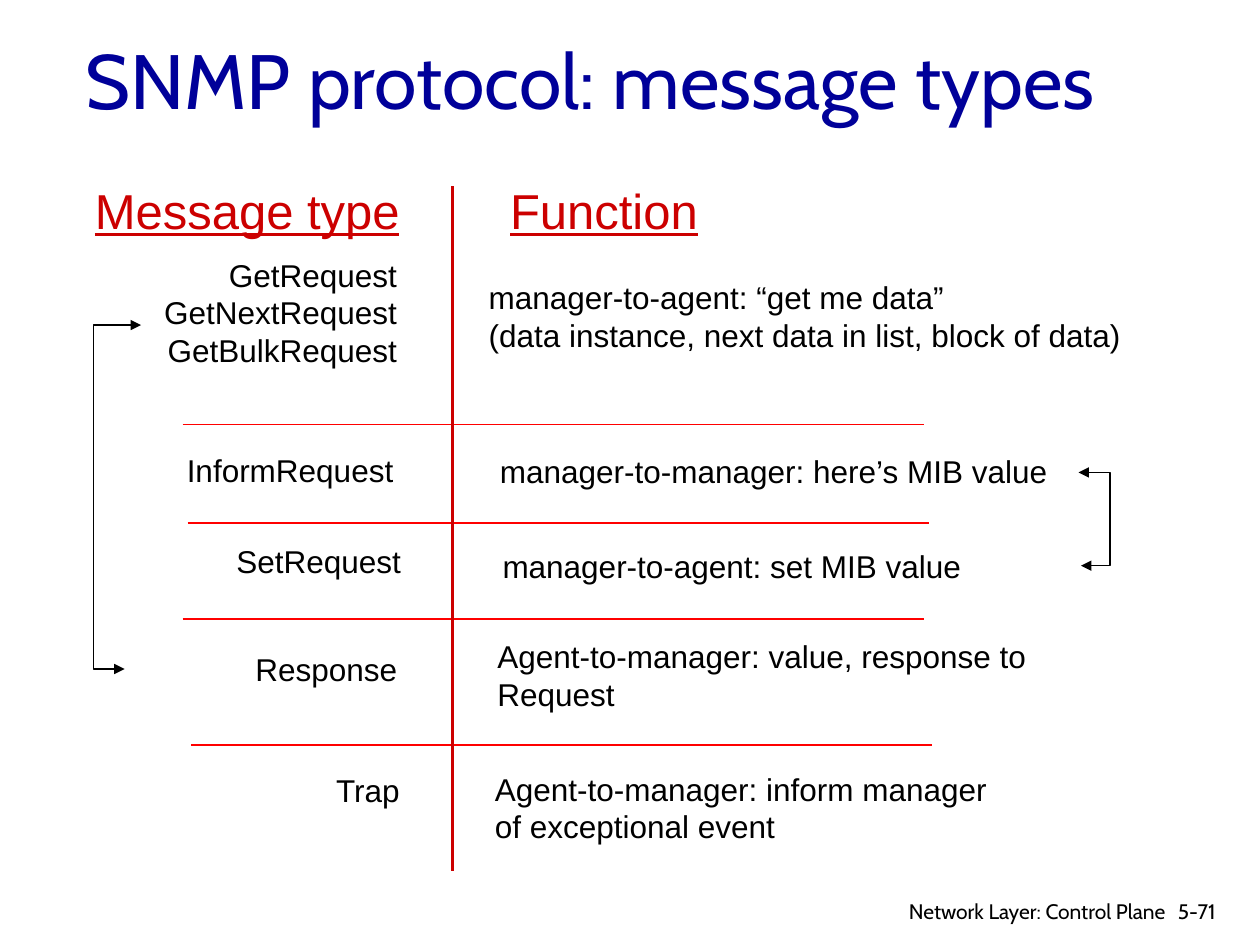
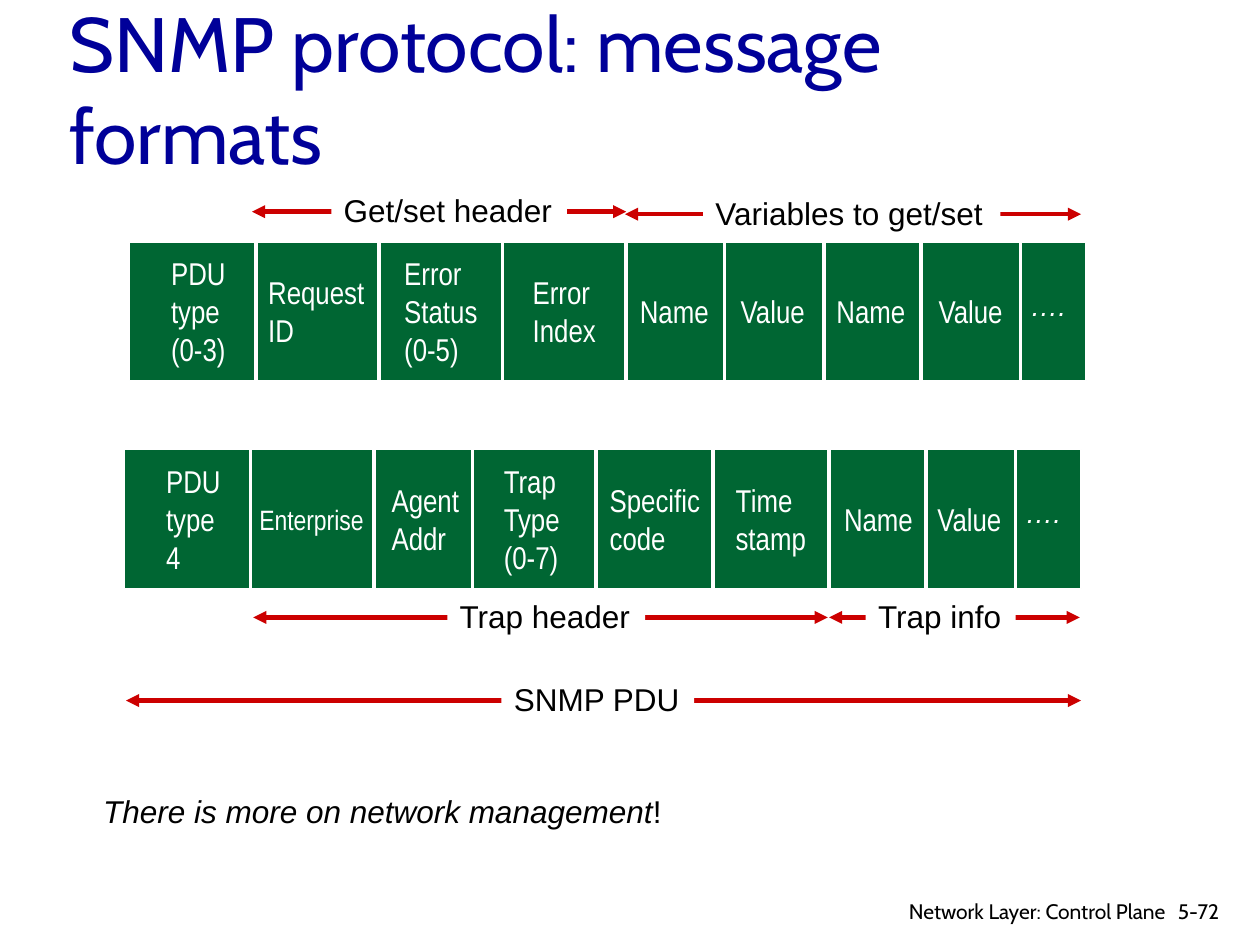
"""Builds two slides on SNMP message types and message formats."""
from lxml.etree import SubElement
from pptx import Presentation
from pptx.dml.color import RGBColor
from pptx.enum.shapes import MSO_CONNECTOR as Connector, MSO_SHAPE as Shape
from pptx.enum.text import MSO_ANCHOR as Anchor, MSO_AUTO_SIZE as AutoSize, PP_ALIGN as Align
from pptx.oxml.ns import qn
from pptx.util import Inches, Pt

COLUMNS, ROWS = 100, 75
WIDTH, HEIGHT = Inches(10), Inches(7.5)
NAVY, RED, BRIGHT_RED, GREEN = "000099", "CC0000", "FF0000", "006633"
BLACK, WHITE = "000000", "FFFFFF"
BODY_FONT, FIELD_FONT, TITLE_FONT = "Arial", "Arial Narrow", "Cabin"
DIVIDER_HEIGHT, BAR_WIDTH, BAR_HEIGHT = 11.2, 75.9, 11

MESSAGE_ROWS = [
    ((4, 35.3, 28.2, "InformRequest"), (38.7, 35.4, 47, "manager-to-manager: here’s MIB value")),
    ((4.6, 42.5, 28.2, "SetRequest"), (38.9, 42.9, 46.7, "manager-to-agent: set MIB value")),
    ((4.3, 51.1, 28.2, "Response"),
     (38.5, 50.1, 46.3, "Agent-to-manager: value, response to\nRequest")),
    ((4.5, 60.7, 28.2, "Trap"),
     (38.3, 60.6, 52.4, "Agent-to-manager: inform manager\nof exceptional event")),
]
ROW_RULES = [(14.5, 33.7), (14.9, 41.5), (14.5, 49.1), (15.2, 59.1)]

GET_SET_FIELDS = [
    (10.3, 12.6, "PDU\ntype\n(0-3)"), (20.3, 20.3, "Request\nID"),
    (30.1, 31.1, "Error\nStatus\n(0-5)"), (39.9, 41.3, "Error\nIndex"),
    (49.7, 49.8, "Name"), (57.5, 57.8, "Value"), (65.4, 65.4, "Name"),
    (73.1, 73.5, "Value"), (81, 80.8, "…."),
]
TRAP_FIELDS = [
    (9.9, 12.2, "PDU\ntype\n4"), (19.9, 19.6, "Enterprise"), (29.7, 30.1, "Agent\nAddr"),
    (37.5, 39, "Trap\nType\n(0-7)"), (47.3, 47.4, "Specific\ncode"), (56.6, 57.4, "Time\nstamp"),
    (65.8, 66, "Name"), (73.5, 73.4, "Value"), (80.6, 80.4, "…."),
]
SPANS = [
    (20, 49.7, 16.8, 26.3, 18.7, "Get/set header"),
    (49.6, 85.8, 17, 55.8, 23.6, "Variables to get/set"),
    (20.1, 65.7, 49, 35.5, 15.7, "Trap header"),
    (65.8, 85.7, 49, 68.7, 11.9, "Trap info"),
    (10, 85.8, 55.6, 39.8, 15.3, "SNMP PDU"),
]


def color(hex_string):
    """Turn a hex string into a colour."""
    return RGBColor.from_string(hex_string)


def across(columns):
    """Length of a number of grid columns."""
    return round(WIDTH * columns / COLUMNS)


def down(rows):
    """Length of a number of grid rows."""
    return round(HEIGHT * rows / ROWS)


def grid_box(left, top, width, height):
    """Position and size of a block of grid cells."""
    return across(left), down(top), across(width), down(height)


def write(shape, text, size=18, ink=BLACK, font=BODY_FONT, align=Align.LEFT,
          wrap=True, underline=None, italic=None):
    """Fill a shape with text, one paragraph a line, in one style."""
    frame = shape.text_frame
    frame.text = text
    frame.word_wrap = wrap
    for paragraph in frame.paragraphs:
        paragraph.alignment = align
        for run in paragraph.runs:
            run.font.size, run.font.name = Pt(size), font
            run.font.color.rgb = color(ink)
            run.font.underline, run.font.italic = underline, italic
    return frame


def add_text(slide, box, text, **style):
    """Add a text box."""
    return write(slide.shapes.add_textbox(*grid_box(*box)), text, **style)


def add_rectangle(slide, box, fill, outline=None):
    """Add a plain rectangle."""
    shape = slide.shapes.add_shape(Shape.RECTANGLE, *grid_box(*box))
    shape.shadow.inherit = False
    shape.fill.solid()
    shape.fill.fore_color.rgb = color(fill)
    if outline:
        shape.line.color.rgb = color(outline)
        shape.line.width = Pt(0.75)
    else:
        shape.line.fill.background()
    return shape


def add_line(slide, start, end, ink, weight, arrows=False, kind=Connector.STRAIGHT):
    """Add a connector, with arrowheads at both ends if wanted."""
    connector = slide.shapes.add_connector(
        kind, across(start[0]), down(start[1]), across(end[0]), down(end[1]))
    connector.line.color.rgb = color(ink)
    connector.line.width = Pt(weight)
    properties = connector._element.spPr
    if arrows:
        for tag in ("a:headEnd", "a:tailEnd"):
            SubElement(properties.find(qn("a:ln")), qn(tag), type="triangle")
    SubElement(properties, qn("a:effectLst"))
    return connector


def add_bracket(slide, start, end, bend):
    """Add an elbow arrow whose upright part stands at column bend."""
    connector = add_line(slide, start, end, BLACK, 0.75, True, Connector.ELBOW)
    share = round(100000 * (bend - start[0]) / (end[0] - start[0]))
    adjustments = connector._element.spPr.find(qn("a:prstGeom")).find(qn("a:avLst"))
    SubElement(adjustments, qn("a:gd"), name="adj1", fmla=f"val {share}")


def add_fields(slide, top, fields):
    """Add a green message bar with its dividers and field names."""
    bar_left = fields[0][0]
    bar_right = bar_left + BAR_WIDTH
    add_rectangle(slide, (bar_left, top, BAR_WIDTH, BAR_HEIGHT), GREEN, WHITE)
    for left, _, _ in fields[1:]:
        add_line(slide, (left, top), (left, top + DIVIDER_HEIGHT), WHITE, 2)
    rights = [left for left, _, _ in fields[1:]] + [bar_right]
    for (_, text_left, text), right in zip(fields, rights):
        height = 1 + 3 * len(text.split("\n"))
        box = (text_left, top + (BAR_HEIGHT - height) / 2, right - text_left, height)
        if text == "….":
            frame = add_text(slide, box, text, size=16, ink=WHITE, italic=True)
            frame.paragraphs[0].line_spacing = Pt(12)
        else:
            size = 16 if text == "Enterprise" else 18
            frame = add_text(slide, box, text, size=size, ink=WHITE, font=FIELD_FONT)
        frame.vertical_anchor = Anchor.MIDDLE
        frame.margin_right = 0


def add_span(slide, left, right, row, label_left, label_width, label):
    """Add a double arrow with its label in a white gap."""
    add_line(slide, (left, row), (right, row), RED, 2.5, True)
    gap = add_rectangle(slide, (label_left, row - 2.1, label_width, 4), WHITE)
    write(gap, label, wrap=False).vertical_anchor = Anchor.TOP


def add_slide(presentation, title, title_box, number):
    """Add a slide with its title and footer."""
    slide = presentation.slides.add_slide(presentation.slide_layouts[5])
    heading = slide.shapes.title
    heading.left, heading.top, heading.width, heading.height = grid_box(*title_box)
    frame = write(heading, title, size=44, ink=NAVY, font=TITLE_FONT)
    frame.vertical_anchor = Anchor.MIDDLE
    frame.auto_size = AutoSize.NONE
    footer = {"size": 12, "font": TITLE_FONT}
    add_text(slide, (92.5, 70.8, 6, 3), number, **footer)
    add_text(slide, (69.7, 70.8, 23.8, 2.6), "Network Layer: Control Plane",
             align=Align.RIGHT, **footer)
    return slide


def add_message_types(presentation):
    """Build the slide on message types."""
    slide = add_slide(presentation, "SNMP protocol: message types", (5.8, 0, 85, 12.5), "5-71")
    heading = {"size": 28, "ink": RED, "underline": True, "wrap": False}
    add_text(slide, (6.2, 13.8, 26.5, 5.7), "Message type", align=Align.RIGHT, **heading)
    add_text(slide, (39.5, 13.8, 17.1, 5.7), "Function", **heading)
    add_text(slide, (5.5, 19.8, 27, 13.1), "GetRequest\nGetNextRequest\nGetBulkRequest",
             align=Align.RIGHT)
    add_text(slide, (37.8, 21.6, 52.7, 7.1), "manager-to-agent: “get me data”\n"
             "(data instance, next data in list, block of data)", wrap=False)
    for (*name_box, name), (*use_box, use) in MESSAGE_ROWS:
        add_text(slide, (*name_box, 5), name, align=Align.RIGHT)
        add_text(slide, (*use_box, 1 + 3 * len(use.split("\n"))), use)
    for left, row in ROW_RULES:
        add_line(slide, (left, row), (left + 58.8, row), BRIGHT_RED, 1)
    add_line(slide, (35.9, 14.8), (35.9, 69.1), RED, 2)
    add_bracket(slide, (11.2, 25.8), (9.9, 53.1), 7.4)
    add_bracket(slide, (85.6, 37.5), (85.8, 44.9), 88.1)


def add_message_formats(presentation):
    """Build the slide on message formats."""
    slide = add_slide(presentation, "SNMP protocol: message formats", (4.5, 2.4, 85, 9.1), "5-72")
    add_fields(slide, 19.2, GET_SET_FIELDS)
    add_fields(slide, 35.7, TRAP_FIELDS)
    for span in SPANS:
        add_span(slide, *span)
    frame = add_text(slide, (7.2, 62.4, 46.8, 4), "There is more on network management",
                     italic=True, wrap=False)
    mark = frame.paragraphs[0].add_run()
    mark.text = "!"
    mark.font.size, mark.font.name = Pt(18), BODY_FONT
    mark.font.color.rgb = color(BLACK)


def main():
    """Build and save the presentation."""
    presentation = Presentation()
    presentation.slide_width, presentation.slide_height = WIDTH, HEIGHT
    add_message_types(presentation)
    add_message_formats(presentation)
    presentation.save("out.pptx")


if __name__ == "__main__":
    main()
